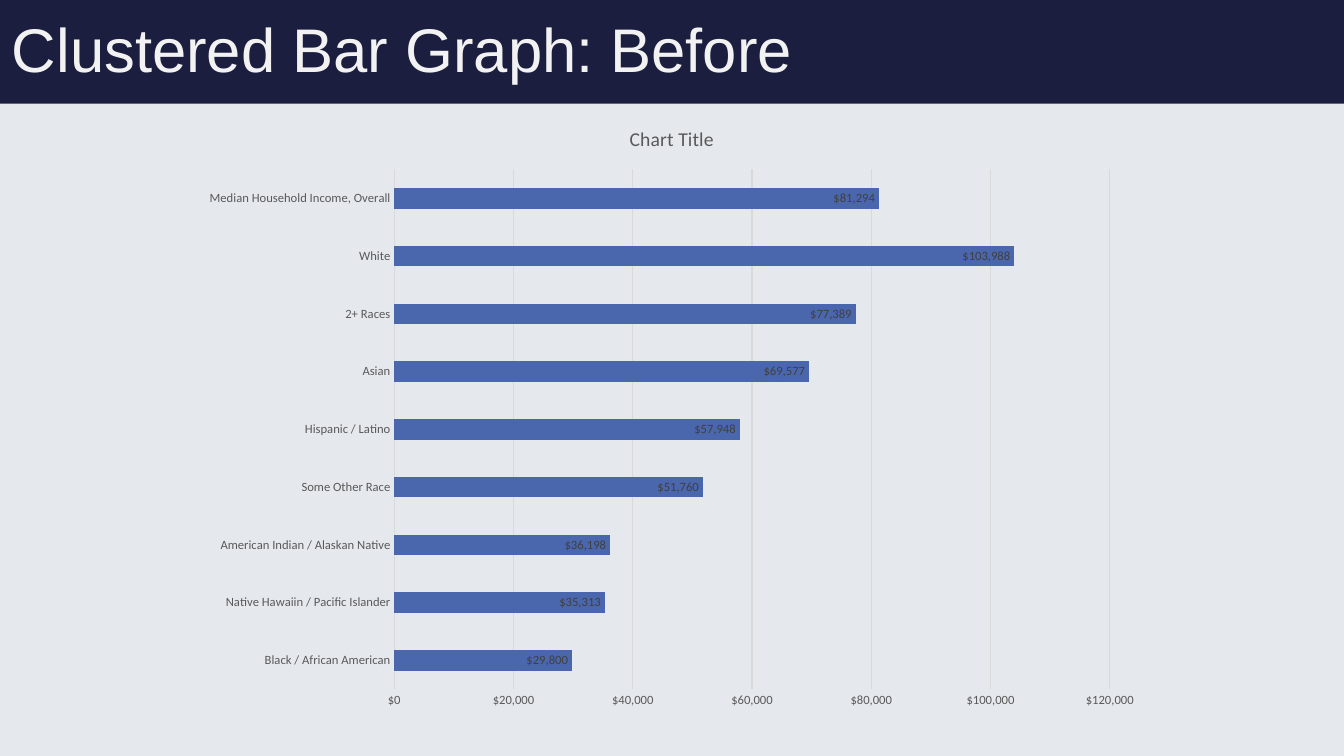
from pptx import Presentation
from pptx.chart.data import CategoryChartData
from pptx.dml.color import RGBColor
from pptx.enum.chart import XL_CHART_TYPE, XL_LABEL_POSITION, XL_TICK_MARK
from pptx.enum.shapes import MSO_SHAPE
from pptx.enum.text import MSO_ANCHOR
from pptx.util import Pt

PALE = RGBColor(0xE5, 0xE9, 0xEE)
NAVY = RGBColor(0x1B, 0x1E, 0x3E)
OFF_WHITE = RGBColor(0xF2, 0xF2, 0xF2)
BLUE = RGBColor(0x4A, 0x66, 0xAC)
BLACK = RGBColor(0x00, 0x00, 0x00)
DARK_GREY = RGBColor(0x40, 0x40, 0x40)
GREY = RGBColor(0x59, 0x59, 0x59)
LIGHT_GREY = RGBColor(0xD9, 0xD9, 0xD9)

DOLLARS = '"$"#,##0'
INCOMES = {
    "Black / African American": 29800,
    "Native Hawaiin / Pacific Islander": 35313,
    "American Indian / Alaskan Native": 36198,
    "Some Other Race": 51760,
    "Hispanic / Latino": 57948,
    "Asian": 69577,
    "2+ Races": 77389,
    "White": 103988,
    "Median Household Income, Overall": 81294,
}


def style_font(font, size, color, name="Calibri"):
    for attribute, value in {"size": Pt(size), "name": name, "bold": False}.items():
        setattr(font, attribute, value)
    font.color.rgb = color


presentation = Presentation()
presentation.slide_width = Pt(960)
presentation.slide_height = Pt(540)
slide = presentation.slides.add_slide(presentation.slide_layouts[6])

# Backdrop and header band
for height, color in ((540, PALE), (74, NAVY)):
    band = slide.shapes.add_shape(MSO_SHAPE.RECTANGLE, 0, 0, Pt(960), Pt(height))
    band.shadow.inherit = False
    band.fill.solid()
    band.fill.fore_color.rgb = color
    band.line.fill.background()

# Heading
heading = slide.shapes.add_textbox(Pt(1.5), Pt(-15), Pt(828), Pt(104.4)).text_frame
heading.word_wrap = True
heading.vertical_anchor = MSO_ANCHOR.MIDDLE
heading_line = heading.paragraphs[0]
heading_line.line_spacing = 0.9
heading_run = heading_line.add_run()
heading_run.text = "Clustered Bar Graph: Before"
style_font(heading_run.font, 44, OFF_WHITE, "Arial")

# Income chart
income_data = CategoryChartData(number_format=DOLLARS)
income_data.categories = list(INCOMES)
income_data.add_series("Series 1", list(INCOMES.values()))
chart = slide.shapes.add_chart(
    XL_CHART_TYPE.BAR_CLUSTERED, Pt(136), Pt(74), Pt(687.6), Pt(440.6), income_data
).chart
style_font(chart.font, 10, BLACK)
chart.has_legend = False
chart.has_title = True
chart_title = chart.chart_title.text_frame
chart_title.text = "Chart Title"
style_font(chart_title.paragraphs[0].runs[0].font, 14, GREY)

for axis in (chart.category_axis, chart.value_axis):
    axis.major_tick_mark = XL_TICK_MARK.NONE
    axis.minor_tick_mark = XL_TICK_MARK.NONE
    style_font(axis.tick_labels.font, 9, GREY)

dollar_axis = chart.value_axis
dollar_axis.has_major_gridlines = True
dollar_axis.format.line.fill.background()
dollar_axis.tick_labels.number_format = DOLLARS
dollar_axis.tick_labels.number_format_is_linked = False
for line in (chart.category_axis.format.line, dollar_axis.major_gridlines.format.line):
    line.color.rgb = LIGHT_GREY
    line.width = Pt(0.75)

bars = chart.plots[0]
bars.gap_width = 182
bars.vary_by_categories = False
income_series = bars.series[0]
income_series.format.fill.solid()
income_series.format.fill.fore_color.rgb = BLUE

income_labels = income_series.data_labels
label_format = {
    "show_value": True,
    "position": XL_LABEL_POSITION.INSIDE_END,
    "number_format": DOLLARS,
    "number_format_is_linked": False,
}
for attribute, value in label_format.items():
    setattr(income_labels, attribute, value)
style_font(income_labels.font, 9, DARK_GREY)

presentation.save("out.pptx")
